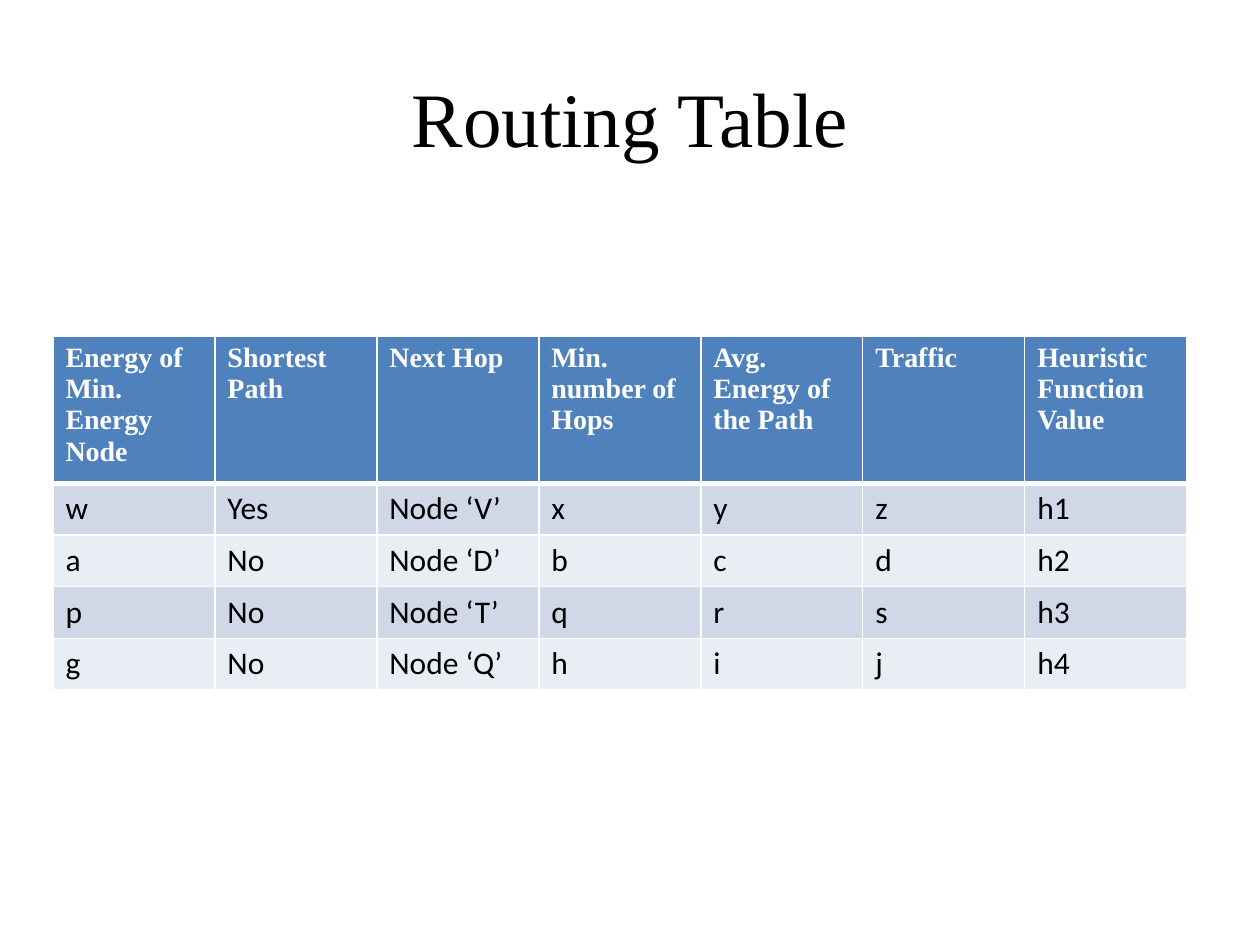
from lxml import etree
from pptx import Presentation
from pptx.dml.color import RGBColor
from pptx.enum.text import MSO_ANCHOR, PP_ALIGN
from pptx.oxml.ns import qn
from pptx.util import Inches, Pt

CENTER, LEFT = PP_ALIGN.CENTER, PP_ALIGN.LEFT
MIDDLE = MSO_ANCHOR.MIDDLE

# Content
TITLE = "Routing Table"
HEADERS = ["Energy of Min. Energy Node", "Shortest Path", "Next Hop",
           "Min. number of Hops", "Avg. Energy of the Path", "Traffic",
           "Heuristic Function Value"]
ROUTES = [
    ("w", "Yes", "Node ‘V’", "x", "y", "z", "h1"),
    ("a", "No", "Node ‘D’", "b", "c", "d", "h2"),
    ("p", "No", "Node ‘T’", "q", "r", "s", "h3"),
    ("g", "No", "Node ‘Q’", "h", "i", "j", "h4"),
]

# Look
SERIF, SANS = "Times New Roman", "Calibri"
BLACK, WHITE, HEADER_BLUE = "000000", "FFFFFF", "4F81BD"
BANDS = ["D0D8E8", "E9EDF4"]
TABLE_WIDTH, HEADER_HEIGHT, ROUTE_HEIGHT = 9, 1.08, 0.41


def color(value):
    return RGBColor.from_string(value)


def write(frame, text, font=SANS, size=18, ink=BLACK, bold=False, align=LEFT):
    paragraph = frame.paragraphs[0]
    paragraph.alignment = align
    run = paragraph.add_run()
    run.text = text
    run.font.name = font
    run.font.size = Pt(size)
    run.font.bold = bold
    run.font.color.rgb = color(ink)


def set_borders(cell, **widths):
    """Draw white borders; they must come before the fill in the cell XML."""
    properties = cell._tc.get_or_add_tcPr()
    for position, side in enumerate("LRTB"):
        line = etree.Element(qn(f"a:ln{side}"), w=str(Pt(widths.get(side, 1))))
        fill = etree.SubElement(line, qn("a:solidFill"))
        etree.SubElement(fill, qn("a:srgbClr"), val=WHITE)
        properties.insert(position, line)


presentation = Presentation()
presentation.slide_width, presentation.slide_height = Inches(10), Inches(7.5)
slide = presentation.slides.add_slide(presentation.slide_layouts[6])

# Title
title = slide.shapes.add_textbox(Inches(0.5), Inches(0.3), Inches(9), Inches(1.25))
title.text_frame.word_wrap = True
title.text_frame.vertical_anchor = MIDDLE
write(title.text_frame, TITLE, font=SERIF, size=44, align=CENTER)

# Routing table
rows = [HEADERS, *ROUTES]
table_height = HEADER_HEIGHT + ROUTE_HEIGHT * len(ROUTES)
routing = slide.shapes.add_table(
    len(rows), len(HEADERS), Inches(0.42), Inches(2.67),
    Inches(TABLE_WIDTH), Inches(table_height)).table
for column in routing.columns:
    column.width = Inches(TABLE_WIDTH / len(HEADERS))

for row_index, values in enumerate(rows):
    is_header = row_index == 0
    routing.rows[row_index].height = Inches(HEADER_HEIGHT if is_header else ROUTE_HEIGHT)
    for column_index, value in enumerate(values):
        cell = routing.cell(row_index, column_index)
        cell.fill.solid()
        if is_header:
            cell.fill.fore_color.rgb = color(HEADER_BLUE)
            write(cell.text_frame, value, font=SERIF, size=16, ink=WHITE, bold=True)
        else:
            cell.fill.fore_color.rgb = color(BANDS[(row_index - 1) % len(BANDS)])
            write(cell.text_frame, value)
        set_borders(cell, B=3 if is_header else 1, T=3 if row_index == 1 else 1)

presentation.save("out.pptx")
